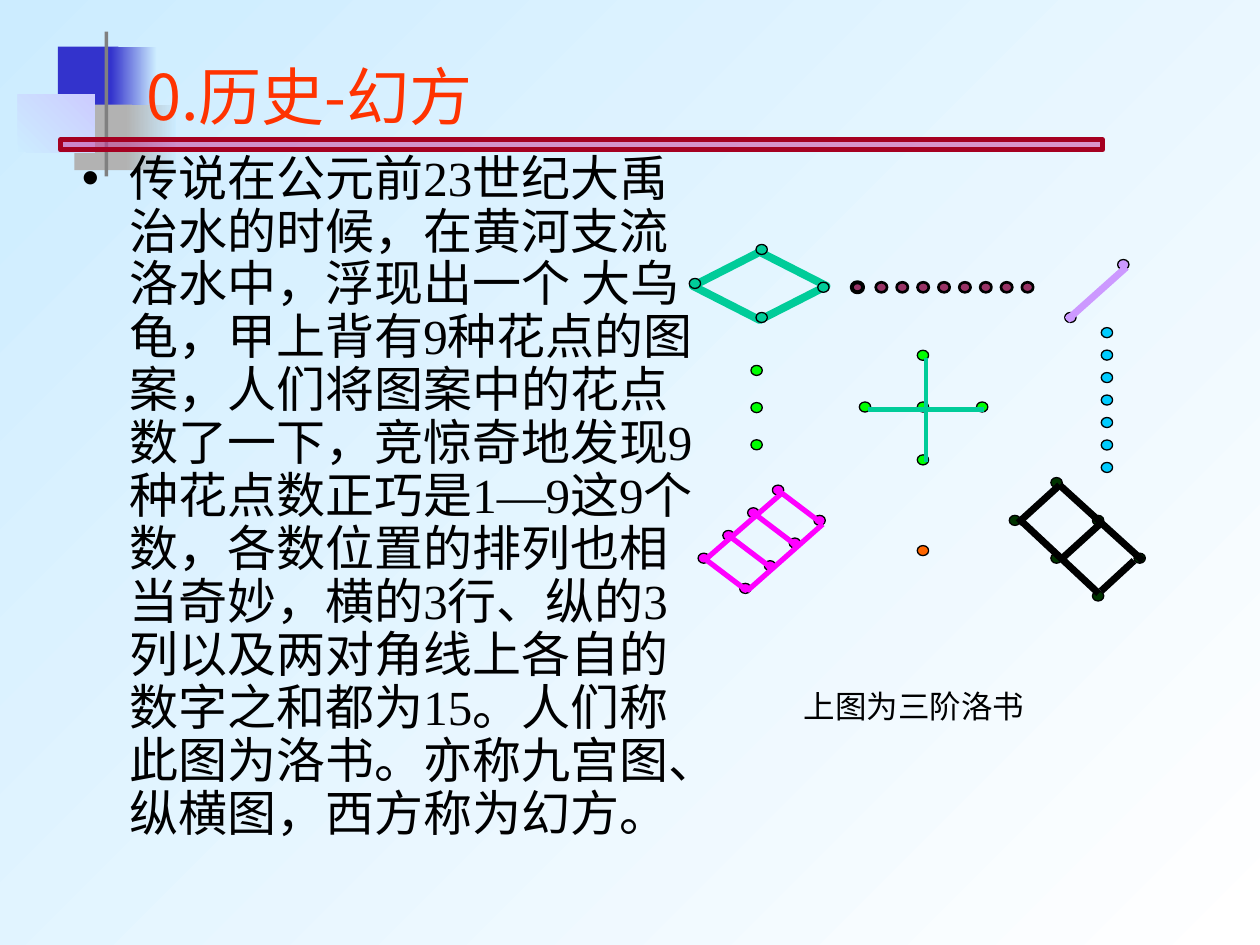
from lxml import etree
from pptx import Presentation
from pptx import util as u
from pptx.dml.color import RGBColor
from pptx.enum import shapes, text
from pptx.oxml import ns

BLACK = RGBColor(0, 0, 0)
WHITE = RGBColor(0xFF, 0xFF, 0xFF)
SKY = RGBColor(0xCC, 0xEC, 0xFF)
BLUE = RGBColor(0x33, 0x33, 0xCC)
SILVER = RGBColor(0xB2, 0xB2, 0xB2)
GRAY = RGBColor(0x80, 0x80, 0x80)
LAVENDER = RGBColor(0xCC, 0xCC, 0xFF)
PINK = RGBColor(0xCC, 0x33, 0x99)
CRIMSON = RGBColor(0xA5, 0x00, 0x21)
RED = RGBColor(0xFF, 0x33, 0x00)
TEAL = RGBColor(0x00, 0xCC, 0x99)
PLUM = RGBColor(0x99, 0x33, 0x66)
VIOLET = RGBColor(0xCC, 0x99, 0xFF)
CYAN = RGBColor(0x00, 0xCC, 0xFF)
GREEN = RGBColor(0x00, 0xFF, 0x00)
ORANGE = RGBColor(0xFF, 0x66, 0x00)
DARK_GREEN = RGBColor(0x00, 0x33, 0x00)
MAGENTA = RGBColor(0xFF, 0x00, 0xFF)

SANS = "Noto Sans CJK SC"
SERIF = "Times New Roman"
DOT_WIDTH, DOT_HEIGHT = 0.09, 0.08

STORY = (
    "传说在公元前23世纪大禹治水的时候，在黄河支流洛水中，浮现出一个 大乌龟，"
    "甲上背有9种花点的图案，人们将图案中的花点数了一下，竞惊奇地发现9种花点数"
    "正巧是1—9这9个数，各数位置的排列也相当奇妙，横的3行、纵的3列以及两对角线"
    "上各自的数字之和都为15。人们称此图为洛书。亦称九宫图、纵横图，西方称为幻方。"
)


class Painter:
    """Holds the style and the current slide."""

    def __init__(self, page):
        self.page = page

    def gradient(self, fill, first, last, angle):
        fill.gradient()
        fill.gradient_angle = angle
        for stop, color, position in zip(fill.gradient_stops, (first, last), (0, 1)):
            stop.color.rgb = color
            stop.position = position

    def shape(self, kind, at, fill=None, line=None, weight=0.75):
        item = self.page.shapes.add_shape(kind, *map(u.Inches, at))
        item.shadow.inherit = False
        if fill is None:
            item.fill.background()
        elif isinstance(fill, RGBColor):
            item.fill.solid()
            item.fill.fore_color.rgb = fill
        else:
            self.gradient(item.fill, *fill)
        if line is None:
            item.line.fill.background()
        else:
            item.line.color.rgb = line
            item.line.width = u.Pt(weight)
        return item

    def rect(self, at, fill, **style):
        return self.shape(shapes.MSO_SHAPE.RECTANGLE, at, fill, **style)

    def dots(self, places, color, weight=0.75):
        for left, top in places:
            self.shape(shapes.MSO_SHAPE.OVAL, (left, top, DOT_WIDTH, DOT_HEIGHT),
                       color, BLACK, weight)

    def lines(self, ends, color, weight):
        for points in ends:
            line = self.page.shapes.add_connector(
                shapes.MSO_CONNECTOR.STRAIGHT, *map(u.Inches, points))
            line.line.color.rgb = color
            line.line.width = u.Pt(weight)
            etree.SubElement(line._element.spPr, ns.qn("a:effectLst"))

    def place(self, box, at):
        for name, value in zip(("left", "top", "width", "height"), at):
            setattr(box, name, u.Inches(value))

    def words(self, box, runs, size, color, frame_format, para_format):
        for name, value in frame_format.items():
            setattr(box.text_frame, name, value)
        para = box.text_frame.paragraphs[0]
        for name, value in para_format.items():
            setattr(para, name, value)
        for wording, font in runs:
            span = para.add_run()
            span.text = wording
            for name, value in {"size": u.Pt(size), "name": font, "bold": False}.items():
                setattr(span.font, name, value)
            span.font.color.rgb = color
            east = etree.SubElement(span._r.get_or_add_rPr(), ns.qn("a:ea"))
            east.set("typeface", SANS)
        return para

    def bullet(self, para, indent):
        props = para._p.get_or_add_pPr()
        props.set("marL", str(u.Inches(indent)))
        props.set("indent", str(-u.Inches(indent)))
        color = etree.SubElement(props, ns.qn("a:buClr"))
        etree.SubElement(color, ns.qn("a:srgbClr")).set("val", str(BLACK))
        etree.SubElement(props, ns.qn("a:buChar")).set("char", "•")


def main():
    deck = Presentation()
    deck.slide_width, deck.slide_height = u.Inches(10), u.Inches(7.5)
    page = deck.slides.add_slide(deck.slide_layouts[1])
    painter = Painter(page)
    title, body = page.placeholders

    # Background and corner ornament
    painter.gradient(page.background.fill, SKY, WHITE, 315)
    painter.rect((0.46, 0.37, 0.48, 0.52), BLUE)
    painter.rect((0.88, 0.37, 0.36, 0.52), (BLUE, SKY, 0))
    painter.rect((0.59, 0.83, 0.46, 0.52), SILVER)
    painter.rect((1, 0.83, 0.4, 0.52), (SILVER, SKY, 0))
    painter.rect((0.14, 0.75, 0.61, 0.46), (SKY, LAVENDER, 45))
    painter.rect((0.83, 0.25, 0.03, 1.15), GRAY)
    rule = painter.rect((0.48, 1.11, 8.27, 0.08), PINK, line=CRIMSON, weight=3)
    tint = rule._element.spPr.find(ns.qn("a:solidFill"))[0]
    etree.SubElement(tint, ns.qn("a:alpha")).set("val", "50000")

    # Title and story, brought in front of the ornament
    for box in (title, body):
        page.shapes._spTree.append(box._element)
    plain = {"word_wrap": True, "auto_size": text.MSO_AUTO_SIZE.NONE}
    painter.place(title, (1.06, 0.36, 6.14, 0.79))
    painter.words(title, [("0.", SANS), ("历史", SERIF), ("-幻方", SANS)], 36, RED,
                  {**plain, "vertical_anchor": text.MSO_ANCHOR.MIDDLE},
                  {"alignment": text.PP_ALIGN.LEFT})
    painter.place(body, (0.55, 1.17, 5.11, 6.03))
    para = painter.words(body, [(STORY, SERIF)], 28, BLACK,
                         {**plain, "vertical_anchor": text.MSO_ANCHOR.TOP},
                         {"line_spacing": 0.9, "space_before": u.Pt(7)})
    painter.bullet(para, 0.38)

    # Top row: four, nine, two
    painter.shape(shapes.MSO_SHAPE.DIAMOND, (5.5, 2, 1.06, 0.54), line=TEAL, weight=4.5)
    painter.dots([(6.49, 2.24), (6, 2.48), (5.47, 2.21), (6, 1.94)], TEAL)
    painter.dots([(6.76, 2.24)], PLUM, 2.25)
    painter.dots([(6.95 + 1.16 * i / 7, 2.24) for i in range(8)], PLUM, 1.5)
    painter.dots([(8.45, 2.48), (8.87, 2.06)], VIOLET)
    painter.lines([(8.94, 2.12, 8.47, 2.54)], VIOLET, 4)

    # Middle row: three, five, seven
    painter.dots([(5.96, 2.9 + 0.59 * i / 2) for i in range(3)], GREEN)
    painter.dots([(7.28, 3.19), (7.28, 3.61), (6.82, 3.19), (7.28, 2.78), (7.75, 3.19)],
                 GREEN)
    painter.lines([(7.35, 2.84, 7.35, 3.67), (6.89, 3.25, 7.81, 3.25)], TEAL, 2.5)
    painter.dots([(8.74, 2.6 + 1.07 * i / 6) for i in range(7)], CYAN)

    # Bottom row: eight as a ladder of four rungs
    painter.dots([(5.54 + 0.59 * i / 3 + 0.33 * side, 4.39 - 0.18 * i + 0.24 * side)
                  for side in range(2) for i in range(4)], MAGENTA)
    painter.lines([(5.6 + 0.2 * i, 4.44 - 0.53 * i / 3,
                    5.93 + 0.2 * i, 4.69 - 0.53 * i / 3) for i in range(4)], MAGENTA, 3)
    painter.lines([(6.21, 3.91, 5.6, 4.44), (6.53, 4.16, 5.93, 4.69)], MAGENTA, 3)
    painter.lines([(5.83, 4.45, 5.83, 4.45)], BLACK, 0.75)

    # Bottom row: one, then six as two joined squares
    painter.dots([(7.28, 4.33)], ORANGE)
    painter.dots([(8.01 + 0.33 * (i + side), 4.09 + 0.3 * (i - side))
                  for side in range(2) for i in range(3)], DARK_GREEN)
    painter.lines([(9, 4.45, 8.74, 4.69), (8.41, 4.45, 8.74, 4.15),
                   (8.08, 4.15, 8.41, 3.85), (8.1, 4.13, 8.72, 4.71),
                   (8.41, 3.85, 9.07, 4.45)], BLACK, 4)

    # Caption
    caption = page.shapes.add_textbox(*map(u.Inches, (6.28, 5.4, 3.72, 0.4)))
    painter.words(caption, [("上图为三阶洛书", SERIF)], 18, BLACK,
                  {"word_wrap": True, "auto_size": text.MSO_AUTO_SIZE.SHAPE_TO_FIT_TEXT}, {})

    deck.save("out.pptx")


if __name__ == "__main__":
    main()
